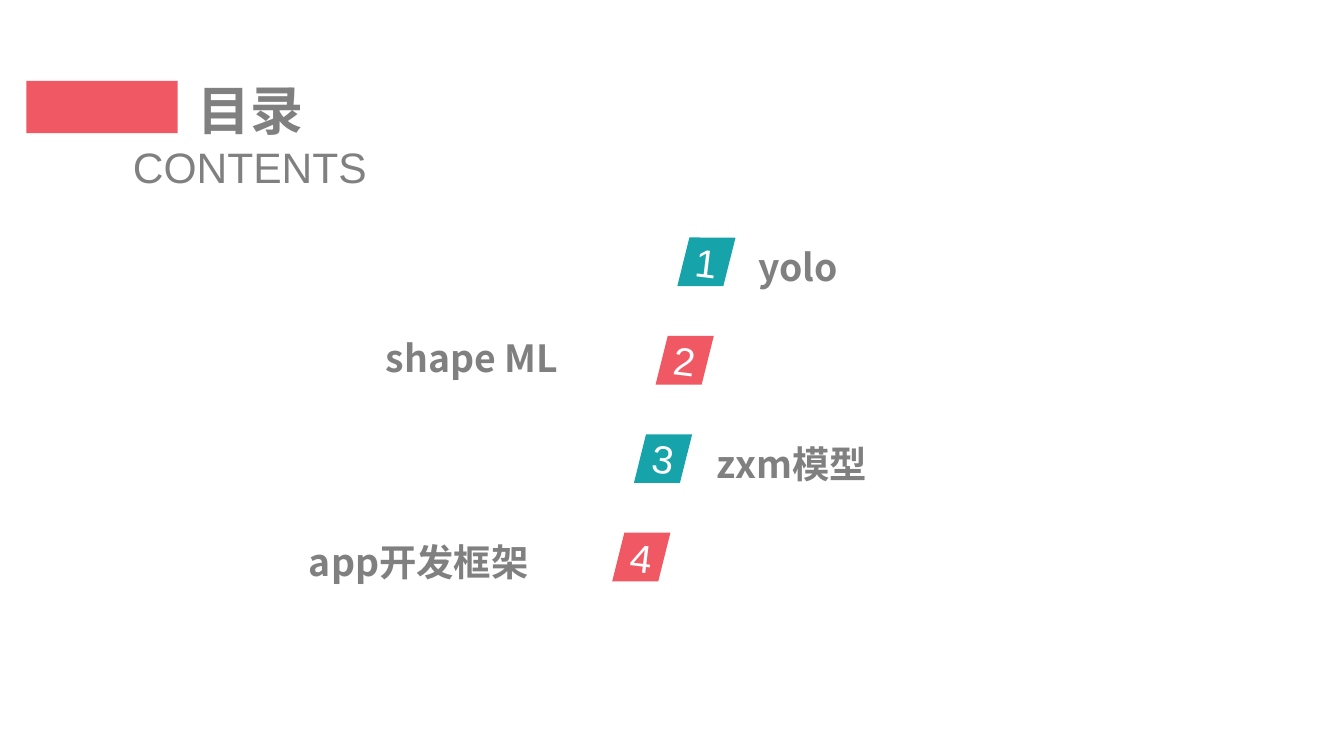
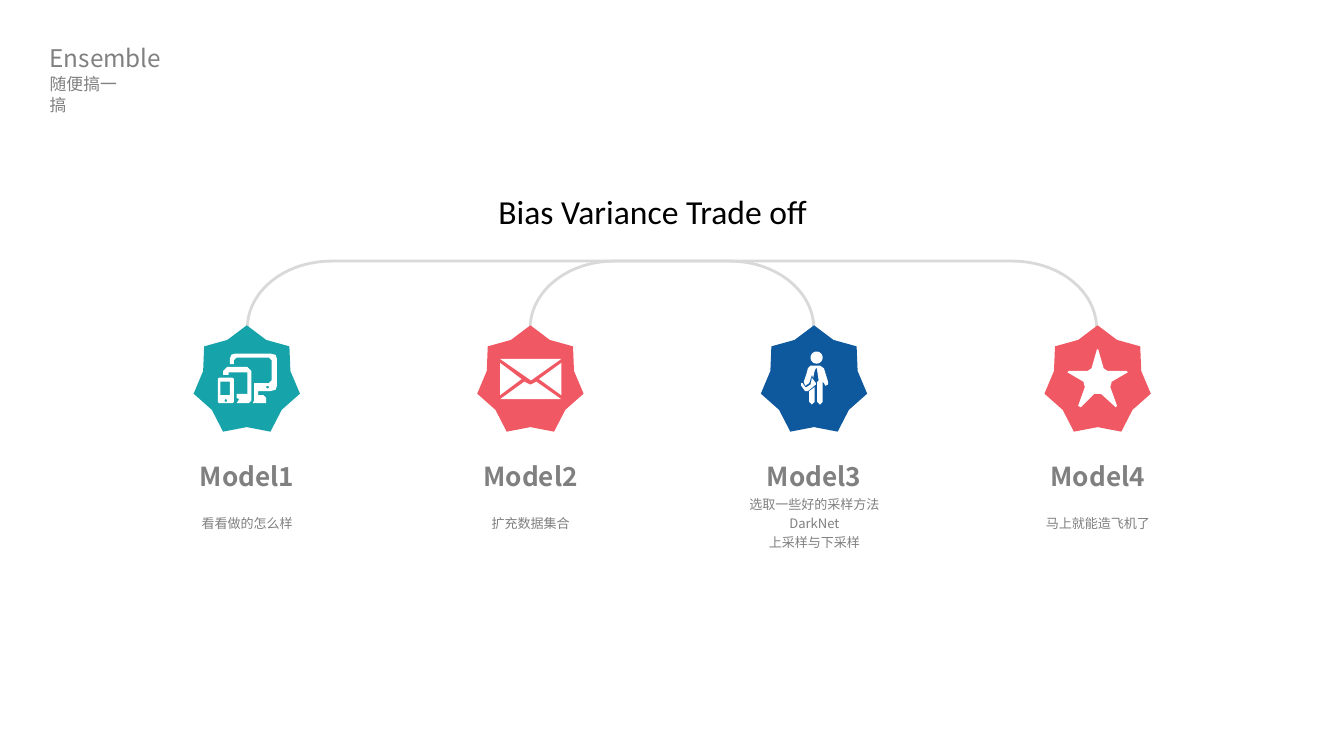
import math

import pptx
import pptx.dml.color
import pptx.enum.shapes
import pptx.enum.text
import pptx.oxml.ns
import pptx.util
from lxml import etree

Cm = pptx.util.Cm
RGB = pptx.dml.color.RGBColor
MSO = pptx.enum.shapes.MSO_SHAPE
ALIGN = pptx.enum.text.PP_ALIGN
ANCHOR = pptx.enum.text.MSO_ANCHOR

TEAL = RGB(0x16, 0xA3, 0xAA)
CORAL = RGB(0xF0, 0x58, 0x63)
BLUE = RGB(0x0E, 0x58, 0x9E)
GRAY = RGB(0x80, 0x80, 0x80)
LIGHT = RGB(0xD9, 0xD9, 0xD9)
WHITE = RGB(0xFF, 0xFF, 0xFF)
BLACK = RGB(0, 0, 0)
CJK = "Noto Sans CJK SC"
NO_INSET = (0, 0)
HEAD_INSET = (0.2, 0.1)


def ring(x, y, w, h, radius):
    corners = [(x + w - radius, y + h - radius), (x + radius, y + h - radius),
               (x + radius, y + radius), (x + w - radius, y + radius)]
    return [(cx + radius * math.cos(math.radians(90 * i + a)),
             cy + radius * math.sin(math.radians(90 * i + a)))
            for i, (cx, cy) in enumerate(corners) for a in range(0, 91, 15)]


DEVICES = [
    ring(18, 39, 12, 19, 1.5),
    [(20, 42), (27, 42), (27, 52), (20, 52)],
    ring(23, 55, 2, 2, 1),
    [(22, 37), (22, 34), (25, 31), (40, 31), (43, 34), (43, 56), (41, 58), (32, 58),
     (34, 55), (32, 54), (32, 51), (40, 51), (40, 35), (26, 35), (26, 37)],
    [(27, 29), (27, 25), (28, 22), (31, 21), (57, 21), (61, 22), (62, 25), (62, 45),
     (61, 48), (57, 49), (48, 49), (48, 52), (52, 52), (54, 54), (54, 58), (44, 58),
     (45, 56), (45, 43), (56, 43), (58, 41), (58, 26), (56, 24), (32, 24), (30, 26),
     (30, 29)],
    ring(54, 45, 2, 2, 1),
]
ENVELOPE = [
    [(33, 40), (17, 52), (17, 28)],
    [(44, 42), (40, 44), (39, 44), (35, 42), (17, 55), (62.5, 55)],
    [(46, 40), (62.5, 52), (62.5, 28)],
    [(17, 25), (62.5, 25), (40, 41)],
]
PERSON = [
    [(40, 46), (40, 57), (38, 59), (36, 57), (36, 49)],
    [(38, 39), (41, 43), (41, 44), (35, 49), (33, 49), (30, 45), (30, 43), (31, 43),
     (33, 46), (34, 46), (37, 44)],
    [(39, 30), (44, 30), (47, 32), (50, 42), (50, 44), (48, 45), (47, 43), (46, 42),
     (46, 57), (44, 59), (42, 57), (42, 42), (43, 41), (42, 34), (42, 32), (41, 32),
     (40, 34), (39, 39), (38, 37), (36, 43), (33, 45), (32, 42), (34, 36), (35, 32),
     (37, 30)],
    ring(37, 19.5, 9, 9, 4.5),
]
STARFISH = [
    [(40, 18), (44, 32), (47, 34), (61, 34), (62, 35), (50, 42), (49, 46), (54, 60),
     (53, 61), (42, 51), (37, 51), (27, 61), (25, 60), (30, 46), (29, 42), (17, 35),
     (18, 34), (32, 34), (35, 32), (39, 18)],
]

CONTENTS = [
    ("yolo", 14.33, 4.72, 7.85),
    ("shape ML", 7.29, 6.43, 3.68),
    ("zxm模型", 13.54, 8.43, 5.82),
    ("app开发框架", 5.84, 10.29, 5.66),
]
MODELS = [
    ("Model1", ["看看做的怎么样"], TEAL, DEVICES),
    ("Model2", ["扩充数据集合"], CORAL, ENVELOPE),
    ("Model3", ["选取一些好的采样方法", "DarkNet", "上采样与下采样"], BLUE, PERSON),
    ("Model4", ["马上就能造飞机了"], CORAL, STARFISH),
]


def write(sp, lines, size, color=GRAY, font=CJK, bold=False, align=ALIGN.LEFT,
          anchor=ANCHOR.MIDDLE, inset=NO_INSET, spacing=1.0, wrap=True):
    tf = sp.text_frame
    tf.word_wrap = wrap
    tf.vertical_anchor = anchor
    tf.margin_left = tf.margin_right = Cm(inset[0])
    tf.margin_top = tf.margin_bottom = Cm(inset[1])
    tf.text = "\n".join(lines)
    for p in tf.paragraphs:
        p.alignment = align
        p.line_spacing = spacing
        for r in p.runs:
            r.font.size = pptx.util.Pt(size)
            r.font.bold = bold
            r.font.color.rgb = color
            r.font.name = font
            ea = etree.SubElement(r.font._element, pptx.oxml.ns.qn("a:ea"))
            ea.set("typeface", CJK)


def add_text(shapes, box, lines, size, **style):
    write(shapes.add_textbox(*map(Cm, box)), lines, size, **style)


def paint(sp, fill):
    sp.shadow.inherit = False
    sp.fill.solid()
    sp.fill.fore_color.rgb = fill
    sp.line.fill.background()


def add_outline(shapes, contours, fill):
    contours = [[(Cm(x), Cm(y)) for x, y in c] for c in contours]
    builder = shapes.build_freeform(*contours[0][0])
    for i, points in enumerate(contours):
        if i:
            builder.move_to(*points[0])
        builder.add_line_segments(points[1:], close=True)
    sp = builder.convert_to_shape()
    paint(sp, fill)
    return sp


def add_badge(shapes, number, cx, cy, fill):
    tilt = 6.9
    cos, sin = math.cos(math.radians(tilt)), math.sin(math.radians(tilt))
    corners = [(0.55, -0.46), (0.32, 0.46), (-0.55, 0.46), (-0.32, -0.46)]
    points = [(cx + x * cos + y * sin, cy - x * sin + y * cos) for x, y in corners]
    sp = add_outline(shapes, [points], fill)
    sp.rotation = tilt
    write(sp, [str(number)], 21, color=WHITE, font="Arial", align=ALIGN.CENTER)


def add_bracket(shapes, width):
    depth, cx, cy = 1.27, 12.7, 5.57
    sp = shapes.add_shape(MSO.RIGHT_BRACKET, Cm(cx - depth / 2), Cm(cy - width / 2),
                          Cm(depth), Cm(width))
    sp.adjustments[0] = 1.25
    sp.rotation = 270
    sp.shadow.inherit = False
    sp.fill.background()
    sp.line.color.rgb = LIGHT
    sp.line.width = pptx.util.Pt(1.5)


def add_model(shapes, left, name, notes, fill, icon):
    top, size, unit = 6.15, 2.01, 0.0254
    sp = shapes.add_shape(MSO.STAR_7_POINT, Cm(left), Cm(top), Cm(size), Cm(size))
    sp.adjustments[0] = 0.41
    paint(sp, fill)
    add_outline(shapes, [[(left + x * unit, top + y * unit) for x, y in c] for c in icon],
                WHITE)
    text_left, width = left - 0.91, 3.84
    add_text(shapes, (text_left, 9.27, width, 1.19), notes, 7,
             align=ALIGN.CENTER, spacing=1.2)
    add_text(shapes, (text_left, 8.69, width, 0.61), [name], 14, bold=True,
             align=ALIGN.CENTER, wrap=False)


def contents_slide(s):
    for i, (label, left, top, width) in enumerate(CONTENTS):
        add_text(s.shapes, (left, top, width, 0.76), [label], 20, bold=True, spacing=0.9)
        add_badge(s.shapes, i + 1, 13.35 - 0.41 * i, 4.95 + 1.86 * i, (TEAL, CORAL)[i % 2])
    band = s.shapes.add_shape(MSO.RECTANGLE, Cm(0.5), Cm(1.53), Cm(2.86), Cm(0.99))
    paint(band, CORAL)
    add_text(s.shapes, (3.61, 1.45, 2.26, 1.22), ["目录"], 28.4, font="Arial", bold=True,
             align=ALIGN.CENTER)
    add_text(s.shapes, (2.16, 2.67, 5.13, 0.97), ["CONTENTS"], 22.8, font="Arial",
             align=ALIGN.CENTER, anchor=ANCHOR.TOP)


def ensemble_slide(s):
    for width in (16.05, 5.36):
        add_bracket(s.shapes, width)
    for i, model in enumerate(MODELS):
        add_model(s.shapes.add_group_shape().shapes, 3.66 + 5.36 * i, *model)
    heading = dict(anchor=ANCHOR.TOP, inset=HEAD_INSET, wrap=False)
    add_text(s.shapes, (0.74, 0.71, 2.51, 0.74), ["Ensemble"], 13, **heading)
    add_text(s.shapes, (0.74, 1.3, 1.98, 0.58), ["随便搞一搞"], 9, font="Calibri", **heading)
    add_text(s.shapes, (9.17, 3.48, 10.72, 1.02), ["Bias Variance Trade off"], 18,
             color=BLACK, font="Calibri", anchor=ANCHOR.TOP, inset=(0.25, 0.13))


def main():
    prs = pptx.Presentation()
    prs.slide_width, prs.slide_height = Cm(25.4), Cm(14.29)
    for build in (contents_slide, ensemble_slide):
        build(prs.slides.add_slide(prs.slide_layouts[6]))
    prs.save("out.pptx")


if __name__ == "__main__":
    main()
